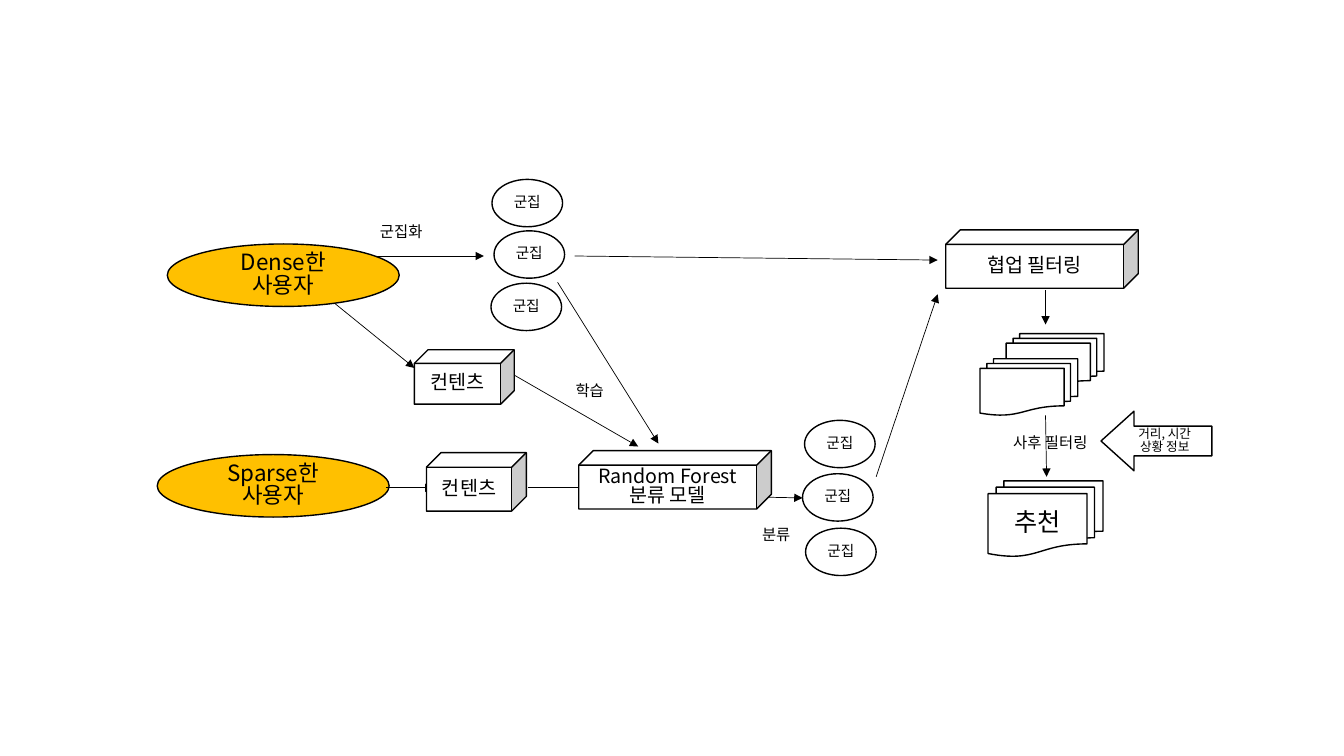
from pptx import Presentation
from pptx.dml.color import RGBColor
from pptx.enum.shapes import MSO_CONNECTOR, MSO_SHAPE as Shape
from pptx.enum.text import MSO_ANCHOR as Anchor, MSO_AUTO_SIZE as Fit, PP_ALIGN as Align
from pptx.oxml.ns import qn
from pptx.util import Inches, Pt
from lxml.etree import SubElement

FONT = "Noto Sans CJK KR"
BLACK, WHITE, GOLD = "000000", "FFFFFF", "FFC000"

# Users: text, left, top
dense = ("Dense한\n사용자", 1.66, 2.42)
sparse = ("Sparse한\n사용자", 1.56, 4.51)
USER = (2.3, 0.62)

# Clusters: left, top
clusters = [(4.88, 1.78), (4.9, 2.29), (4.87, 2.81),
            (7.98, 4.17), (7.96, 4.7), (7.99, 5.24)]
CLUSTER = (0.7, 0.47)

# Models and contents: text, left, top, width, height
cubes = [
    ("컨텐츠", 4.11, 3.47, 0.99, 0.54),
    ("컨텐츠", 4.23, 4.49, 0.99, 0.58),
    ("협업 필터링", 9.38, 2.28, 1.91, 0.58),
    ("Random Forest\n분류 모델", 5.74, 4.47, 1.91, 0.58),
]

# Result sheets: text, left, top, width, height
sheets = [
    ("", 9.98, 3.31, 0.97, 0.56),
    ("", 9.72, 3.56, 0.97, 0.56),
    ("추천", 9.8, 4.77, 1.14, 0.75),
]
context = ("거리, 시간\n상황 정보", 10.92, 4.08, 1.1, 0.59)

# Step labels: text, left, top, height
labels = [
    ("군집화", 3.67, 2.19, 0.25),
    ("학습", 5.61, 3.76, 0.41),
    ("분류", 7.46, 5.19, 0.41),
    ("사후 필터링", 9.95, 4.28, 0.25),
]

# Flow: start x, start y, end x, end y
arrows = [
    (5.7, 2.54, 9.3, 2.58),
    (8.69, 4.73, 9.3, 2.92),
    (3.16, 2.88, 4.11, 3.65),
    (3.66, 2.54, 4.8, 2.54),
    (4.89, 3.6, 6.33, 4.43),
    (3.83, 4.84, 4.3, 4.84),
    (7.47, 4.93, 7.96, 4.94),
    (5.53, 2.8, 6.53, 4.4),
    (10.37, 2.88, 10.37, 3.22),
    (10.37, 4.12, 10.38, 4.73),
]
link = (5.79, 4.84, 5.24, 4.84)


def color(code):
    return RGBColor.from_string(code)


def write(frame, text, size=14, align=Align.CENTER, anchor=Anchor.MIDDLE):
    frame.word_wrap = True
    frame.vertical_anchor = anchor
    for i, line in enumerate(text.split("\n")):
        para = frame.paragraphs[0] if i == 0 else frame.add_paragraph()
        para.alignment = align
        para.line_spacing = 0.83
        run = para.add_run()
        run.text = line
        run.font.size = Pt(size)
        run.font.name = FONT
        run.font.color.rgb = color(BLACK)
        SubElement(run.font._element, qn("a:ea"), typeface=FONT)


def draw(kind, text, *box, fill=WHITE, size=14):
    shape = slide.shapes.add_shape(kind, *map(Inches, box))
    shape.shadow.inherit = False
    shape.fill.solid()
    shape.fill.fore_color.rgb = color(fill)
    shape.line.color.rgb = color(BLACK)
    shape.line.width = Pt(1)
    if text:
        write(shape.text_frame, text, size=size)
    return shape


def join(ends, head=True):
    line = slide.shapes.add_connector(MSO_CONNECTOR.STRAIGHT, *map(Inches, ends))
    line.line.color.rgb = color(BLACK)
    line.line.width = Pt(0.5)
    if head:
        SubElement(line.line._get_or_add_ln(), qn("a:tailEnd"), type="triangle")
    SubElement(line._element.spPr, qn("a:effectLst"))


deck = Presentation()
deck.slide_width, deck.slide_height = Inches(13.33), Inches(7.5)
slide = deck.slides.add_slide(deck.slide_layouts[6])

# Sparse user lies under its arrow, all other shapes above theirs
draw(Shape.OVAL, *sparse, *USER, fill=GOLD, size=16)
for ends in arrows:
    join(ends)
join(link, head=False)
draw(Shape.OVAL, *dense, *USER, fill=GOLD, size=16)

# Clusters, cubes and sheets
for spot in clusters:
    draw(Shape.OVAL, "군집", *spot, *CLUSTER, size=10.5)
for cube in cubes:
    draw(Shape.CUBE, *cube)
for sheet in sheets:
    draw(Shape.FLOWCHART_MULTIDOCUMENT, *sheet, size=18)

# Context fed into the later filter
arrow = draw(Shape.LEFT_ARROW, *context, size=9)
arrow.adjustments[1] = 0.555

# Step labels
for text, left, top, high in labels:
    box = slide.shapes.add_textbox(*map(Inches, (left, top, 1.13, high)))
    write(box.text_frame, text, size=11, align=Align.LEFT, anchor=Anchor.TOP)
    box.text_frame.auto_size = Fit.SHAPE_TO_FIT_TEXT

deck.save("out.pptx")
